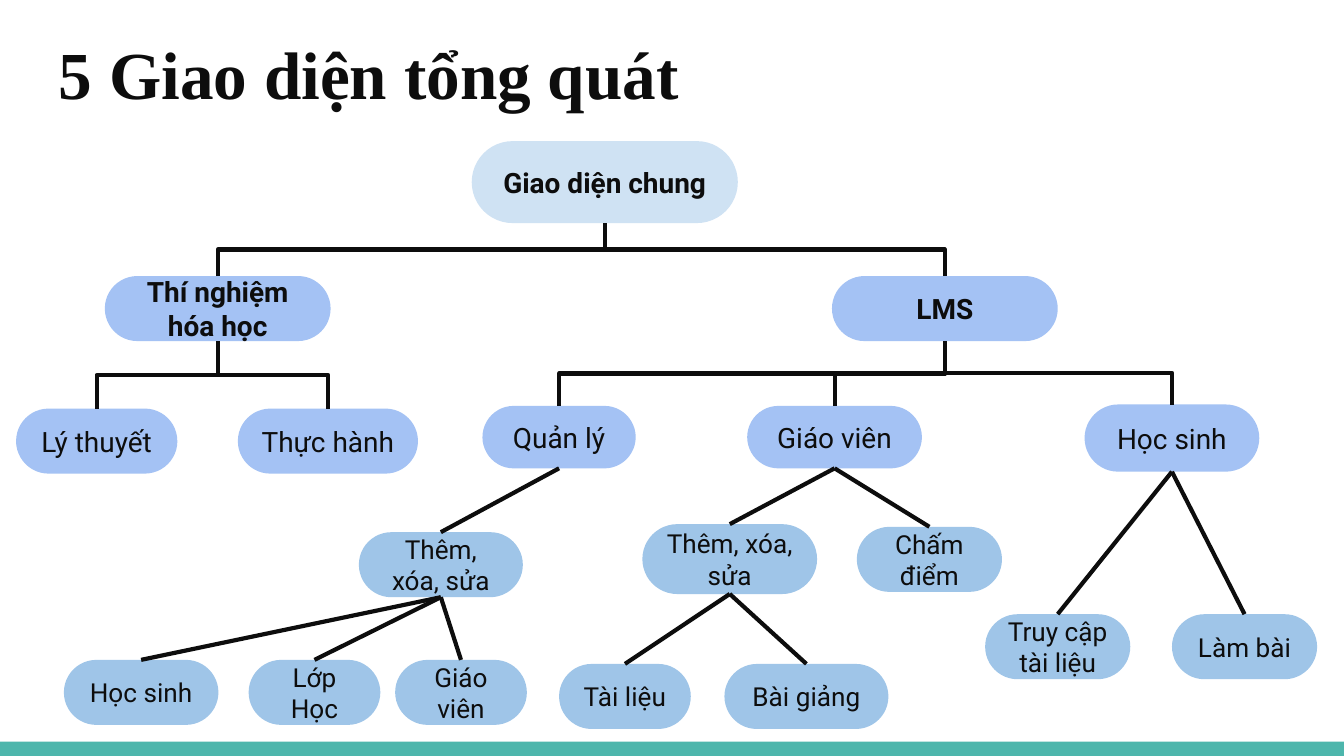
from dataclasses import dataclass

from lxml.etree import SubElement
from pptx import Presentation
from pptx.dml.color import RGBColor
from pptx.enum.shapes import MSO_CONNECTOR, MSO_SHAPE
from pptx.enum.text import MSO_ANCHOR, PP_ALIGN
from pptx.oxml.ns import qn
from pptx.util import Inches, Pt

COLORS = {"ink": "0D0D0D", "teal": "4DB6AC", "root": "CFE2F3",
          "section": "A4C2F4", "task": "9FC5E8", "paper": "FFFFFF"}
UNIT = 0.1  # one grid column or row, in inches
COLS, ROWS = 100, 56.25


@dataclass(frozen=True)
class Style:
    color: str
    size: int
    bold: bool = False
    elbow: bool = False  # how the node's children are joined to it


@dataclass(frozen=True)
class Node:
    text: str
    style: Style
    center: float  # grid column of the middle
    top: float
    width: float
    height: float = 4.84
    children: tuple["Node", ...] = ()


ROOT = Style("root", 15, bold=True, elbow=True)
BRANCH = Style("section", 15, bold=True, elbow=True)
ROLE = Style("section", 15)
TASK = Style("task", 14)

TREE = Node("Giao diện chung", ROOT, 45, 10.5, 19.8, 6.1, (
    Node("Thí nghiệm hóa học", BRANCH, 16.2, 20.54, 16.8, children=(
        Node("Lý thuyết", ROLE, 7.2, 30.4, 12),
        Node("Thực hành", ROLE, 24.4, 30.4, 13.4))),
    Node("LMS", BRANCH, 70.3, 20.54, 16.8, children=(
        Node("Quản lý", ROLE, 41.6, 30.2, 11.4, 4.65, (
            Node("Thêm, xóa, sửa", TASK, 32.8, 39.6, 12.2, children=(
                Node("Học sinh", TASK, 10.5, 49.1, 11.5),
                Node("Lớp Học", TASK, 23.4, 49.1, 9.8),
                Node("Giáo viên", TASK, 34.3, 49.1, 9.8))),)),
        Node("Giáo viên", ROLE, 62.1, 30.2, 13, 4.65, (
            Node("Thêm, xóa, sửa", TASK, 54.3, 39, 13, 5.2, (
                Node("Tài liệu", TASK, 46.5, 49.4, 9.8),
                Node("Bài giảng", TASK, 60, 49.4, 12.2))),
            Node("Chấm điểm", TASK, 69.15, 39.2, 10.8))),
        Node("Học sinh", ROLE, 87.2, 30.1, 13, 5, (
            Node("Truy cập\ntài liệu", TASK, 78.7, 45.7, 10.8),
            Node("Làm bài", TASK, 92.6, 45.7, 10.8)))))))


def grid(n: float) -> int:
    return Inches(n * UNIT)


def rgb(name: str) -> RGBColor:
    return RGBColor.from_string(COLORS[name])


def write(tf, text: str, font: str, size: int, bold: bool, align) -> None:
    tf.word_wrap = True
    tf.margin_left = tf.margin_right = tf.margin_top = tf.margin_bottom = grid(1)
    for i, line in enumerate(text.split("\n")):
        p = tf.add_paragraph() if i else tf.paragraphs[0]
        p.alignment = align
        r = p.add_run()
        r.text = line
        r.font.name, r.font.size, r.font.bold = font, Pt(size), bold
        r.font.color.rgb = rgb("ink")


def add_block(s, kind, color: str, x: float, y: float, w: float, h: float):
    sp = s.shapes.add_shape(kind, grid(x), grid(y), grid(w), grid(h))
    sp.shadow.inherit = False
    sp.fill.solid()
    sp.fill.fore_color.rgb = rgb(color)
    sp.line.fill.background()
    return sp


def add_node(s, n: Node):
    sp = add_block(s, MSO_SHAPE.ROUNDED_RECTANGLE, n.style.color,
                   n.center - n.width / 2, n.top, n.width, n.height)
    sp.adjustments[0] = 0.5
    sp.text_frame.vertical_anchor = MSO_ANCHOR.MIDDLE
    write(sp.text_frame, n.text, "Roboto", n.style.size, n.style.bold, PP_ALIGN.CENTER)
    return sp


def add_line(s, kind, x1: float, y1: float, x2: float, y2: float):
    c = s.shapes.add_connector(kind, grid(x1), grid(y1), grid(x2), grid(y2))
    c.line.color.rgb = rgb("ink")
    c.line.width = Pt(2.25)
    SubElement(c._element.spPr, qn("a:effectLst"))
    return c


def add_elbow(s, parent: Node, child: Node) -> None:
    """Down, across, down: a horizontal elbow turned a quarter."""
    y1, y2 = parent.top + parent.height, child.top
    mx, my = (parent.center + child.center) / 2, (y1 + y2) / 2
    dx, dy = abs(child.center - parent.center) / 2, (y2 - y1) / 2
    side = 1 if child.center > parent.center else -1  # right children are flipped
    c = add_line(s, MSO_CONNECTOR.ELBOW, mx + side * dy, my - dx, mx - side * dy, my + dx)
    c._element.spPr.find(qn("a:xfrm")).set("rot", str(270 * 60000))


def add_tree(s, n: Node):
    sp = add_node(s, n)
    for child in n.children:
        child_sp = add_tree(s, child)
        if n.style.elbow:
            add_elbow(s, n, child)
        else:
            c = add_line(s, MSO_CONNECTOR.STRAIGHT, n.center, n.top + n.height,
                         child.center, child.top)
            c.begin_connect(sp, 2)
            c.end_connect(child_sp, 0)
    return sp


def main() -> None:
    prs = Presentation()
    prs.slide_width, prs.slide_height = grid(COLS), grid(ROWS)
    s = prs.slides.add_slide(prs.slide_layouts[6])
    s.background.fill.solid()
    s.background.fill.fore_color.rgb = rgb("paper")

    # Footer band
    add_block(s, MSO_SHAPE.RECTANGLE, "teal", 0, ROWS - 1.07, COLS, 1.07)

    # Title
    tf = s.shapes.add_textbox(grid(3.4), grid(0.9), grid(93.2), grid(7.7)).text_frame
    write(tf, "5 Giao diện tổng quát", "Times New Roman", 36, True, PP_ALIGN.LEFT)
    tf.margin_top = grid(1.5)

    # Interface tree
    add_tree(s, TREE)
    prs.save("out.pptx")


if __name__ == "__main__":
    main()
